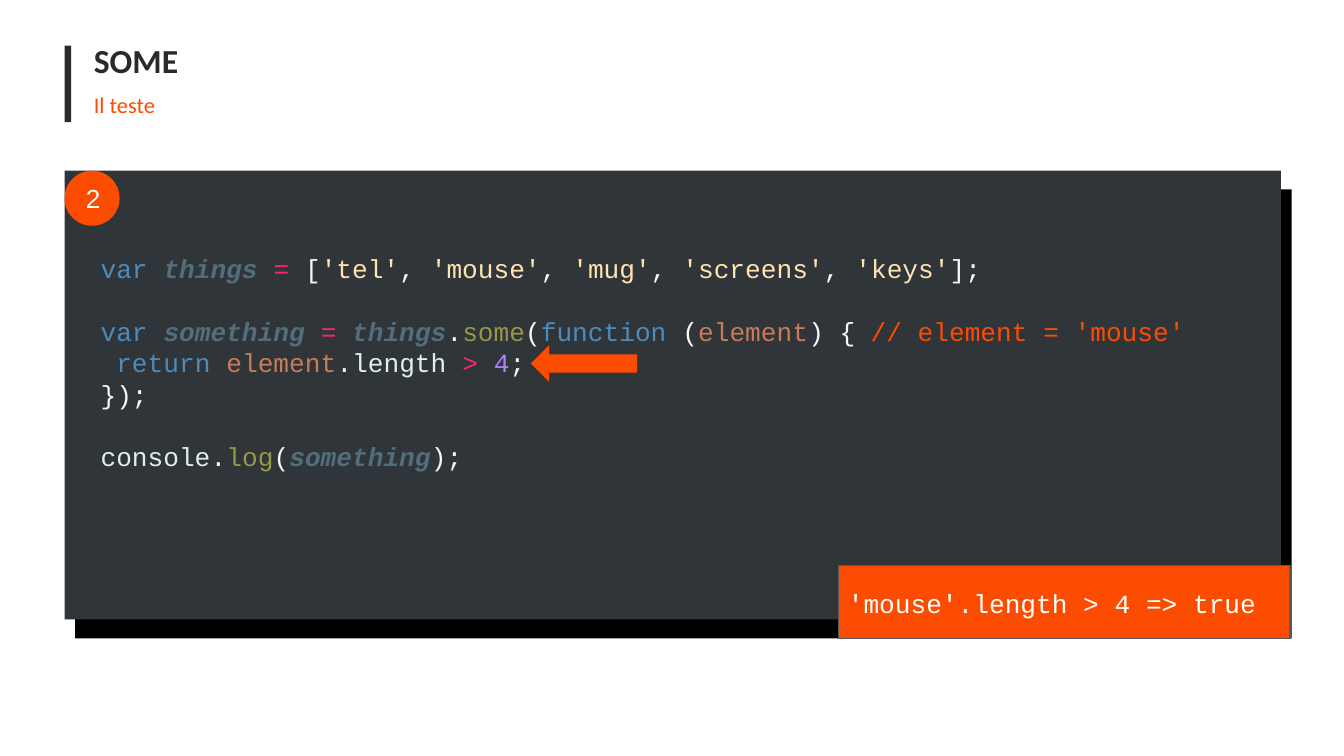
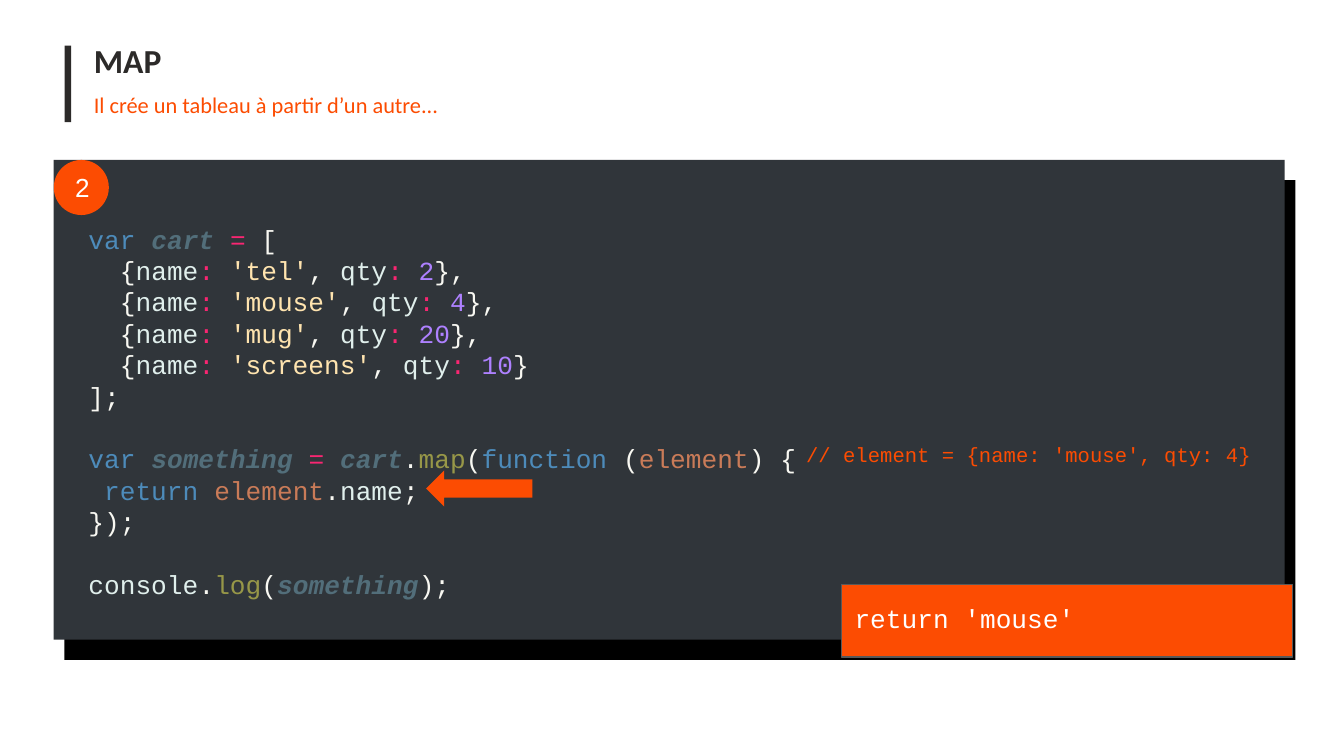
import dataclasses

import pptx
import pptx.dml.color
import pptx.enum.shapes
import pptx.enum.text
import pptx.util

Inches, Pt = pptx.util.Inches, pptx.util.Pt
SHAPE = pptx.enum.shapes.MSO_SHAPE
ANCHOR = pptx.enum.text.MSO_ANCHOR


@dataclasses.dataclass(frozen=True)
class Theme:
    ink: str = "2C2A29"
    hot: str = "FC4C02"
    panel: str = "30353A"
    shade: str = "000000"
    edge: str = "595959"
    white: str = "FFFFFF"
    head: str = "Calibri"
    body: str = "Arial"
    mono: str = "Courier New"
    title: int = 18
    sub: int = 12
    code: int = 14
    small: int = 11
    gap: float = 16.8  # height of one empty code line
    pad: float = 0.1


T = Theme()

# Colour of each kind of code token; "var" tokens are also bold italic
TOKENS = {
    "key": "4D8BBA", "var": "526E7A", "op": "F92672", "sign": "F8F8F2",
    "str": "FFE4AF", "num": "AE81FF", "fn": "979748", "arg": "C97B58",
    "prop": "E0EFEC",
}

GAP = None  # an empty line in the code


def assign(name):
    return [("key", "var "), ("var", name + " "), ("op", "= ")]


def call(name, method):
    return assign("something") + [
        ("var", name), ("sign", "."), ("fn", method), ("sign", "("),
        ("key", "function "), ("sign", "("), ("arg", "element"), ("sign", ") {")]


def give(prop, *rest):
    return [("sign", " "), ("key", "return "), ("arg", "element"),
            ("sign", "."), ("prop", prop), *rest, ("sign", ";")]


def words(items):
    """Tokens of an array of strings, with commas between them."""
    row = [("sign", "[")]
    for i, item in enumerate(items):
        row += [("sign", ", ")] * (i > 0) + [("str", f"'{item}'")]
    return row + [("sign", "];")]


def entry(name, qty, end):
    return [("sign", "  {"), ("prop", "name"), ("op", ": "), ("str", f"'{name}'"),
            ("sign", ", "), ("prop", "qty"), ("op", ": "), ("num", str(qty)),
            ("sign", end)]


CLOSE = [
    [("sign", "});")],
    GAP,
    [("prop", "console"), ("sign", "."), ("fn", "log"), ("sign", "("),
     ("var", "something"), ("sign", ");")],
]

SLIDES = [
    {
        "title": "SOME",
        "sub": "Il teste",
        "panel": (0.48, 1.27, 9.05, 3.34),
        "code": (0.65, 1.78, 8.32, 1.7),
        "lines": [
            assign("things") + words(["tel", "mouse", "mug", "screens", "keys"]),
            GAP,
            call("things", "some"),
            give("length ", ("op", "> "), ("num", "4")),
            *CLOSE,
        ],
        "note": ("// element = 'mouse'", T.code, (6.38, 2.25, 2.64, 0.27)),
        "arrow": (3.95, 2.57),
        "box": (6.24, 4.21),
        "result": ("'mouse'.length > 4 => true", (6.21, 4.27)),
    },
    {
        "title": "MAP",
        "sub": "Il crée un tableau à partir d’un autre...",
        "panel": (0.4, 1.19, 9.16, 3.57),
        "code": (0.56, 1.56, 7.29, 1.61),
        "lines": [
            assign("cart") + [("sign", "[")],
            entry("tel", 2, "},"),
            entry("mouse", 4, "},"),
            entry("mug", 20, "},"),
            entry("screens", 10, "}"),
            [("sign", "];")],
            GAP,
            call("cart", "map"),
            give("name"),
            *CLOSE,
        ],
        "note": ("// element = {name: 'mouse', qty: 4}", T.small,
                 (5.9, 3.2, 3.57, 0.27)),
        "arrow": (3.17, 3.5),
        "box": (6.26, 4.35),
        "result": ("return 'mouse'", (6.26, 4.38)),
    },
]


def rgb(code):
    return pptx.dml.color.RGBColor.from_string(code)


def shape(slide, kind, at, fill, line=None):
    item = slide.shapes.add_shape(kind, *map(Inches, at))
    item.shadow.inherit = False
    item.fill.solid()
    item.fill.fore_color.rgb = rgb(fill)
    if line:
        item.line.color.rgb = rgb(line)
        item.line.width = Pt(0.75)
    else:
        item.line.fill.background()
    return item


def frame(item, anchor=ANCHOR.TOP):
    """Text frame of a shape, with even padding."""
    text = item.text_frame
    text.word_wrap = True
    text.vertical_anchor = anchor
    text.margin_left = text.margin_right = Inches(T.pad)
    text.margin_top = text.margin_bottom = Inches(T.pad)
    return text


def style(para, font, size, color=None, bold=None):
    para.alignment = pptx.enum.text.PP_ALIGN.LEFT
    para.font.name, para.font.size, para.font.bold = font, Pt(size), bold
    if color:
        para.font.color.rgb = rgb(color)


def label(slide, at, text, font, size, color, bold=None):
    box = frame(slide.shapes.add_textbox(*map(Inches, at)))
    para = box.paragraphs[0]
    para.text = text
    style(para, font, size, color, bold)
    return para


def listing(slide, at, lines):
    """Coloured code, one paragraph a line."""
    box = frame(slide.shapes.add_textbox(*map(Inches, at)))
    para, space = box.paragraphs[0], False
    for i, line in enumerate(lines):
        if line is GAP:
            space = True
            continue
        if i:
            para = box.add_paragraph()
        if space:
            para.space_before = Pt(T.gap)
            space = False
        style(para, T.mono, T.code)
        for kind, text in line:
            run = para.add_run()
            run.text = text
            run.font.color.rgb = rgb(TOKENS[kind])
            if kind == "var":
                run.font.bold = run.font.italic = True


def header(slide, title, sub):
    shape(slide, SHAPE.RECTANGLE, (0.48, 0.34, 0.05, 0.57), T.ink)
    label(slide, (0.6, 0.2, 7.43, 0.41), title, T.head, T.title, T.ink, True)
    para = label(slide, (0.6, 0.55, 7.19, 0.3), sub, T.head, T.sub, T.hot)
    para.line_spacing = 1.15


def panel(slide, left, top, width, height):
    """Dark panel over its offset black backing."""
    drop = round(height * 0.042, 2)
    shape(slide, SHAPE.RECTANGLE, (left + 0.08, top + drop, width, height), T.shade)
    shape(slide, SHAPE.RECTANGLE, (left, top, width, height), T.panel)


def badge(slide, left, top, text):
    item = shape(slide, SHAPE.OVAL, (left, top, 0.41, 0.41), T.hot)
    para = frame(item, ANCHOR.MIDDLE).paragraphs[0]
    para.text = text
    style(para, T.body, T.code, T.white)


def build(slide, data):
    header(slide, data["title"], data["sub"])
    panel(slide, *data["panel"])
    listing(slide, data["code"], data["lines"])
    text, size, at = data["note"]
    label(slide, at, text, T.mono, size, T.hot)
    badge(slide, *data["panel"][:2], "2")
    shape(slide, SHAPE.LEFT_ARROW, (*data["arrow"], 0.79, 0.27), T.hot)
    shape(slide, SHAPE.RECTANGLE, (*data["box"], 3.36, 0.54), T.hot, T.edge)
    text, at = data["result"]
    label(slide, (*at, 3.42, 0.87), text, T.mono, T.code, T.white)


def main():
    deck = pptx.Presentation()
    deck.slide_width = Inches(10)
    deck.slide_height = Inches(10 * 9 / 16)
    for data in SLIDES:
        build(deck.slides.add_slide(deck.slide_layouts[6]), data)
    deck.save("out.pptx")


if __name__ == "__main__":
    main()
